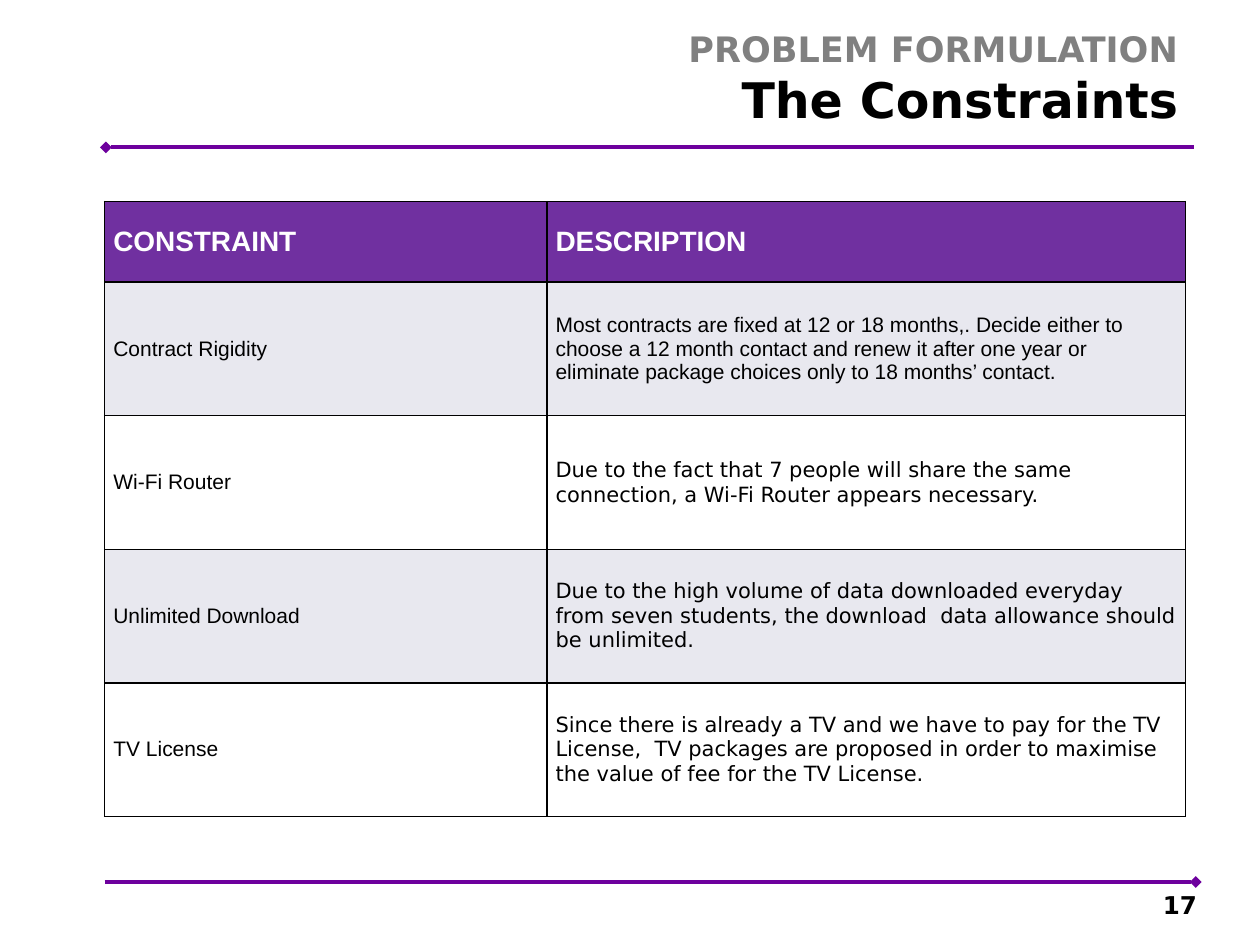
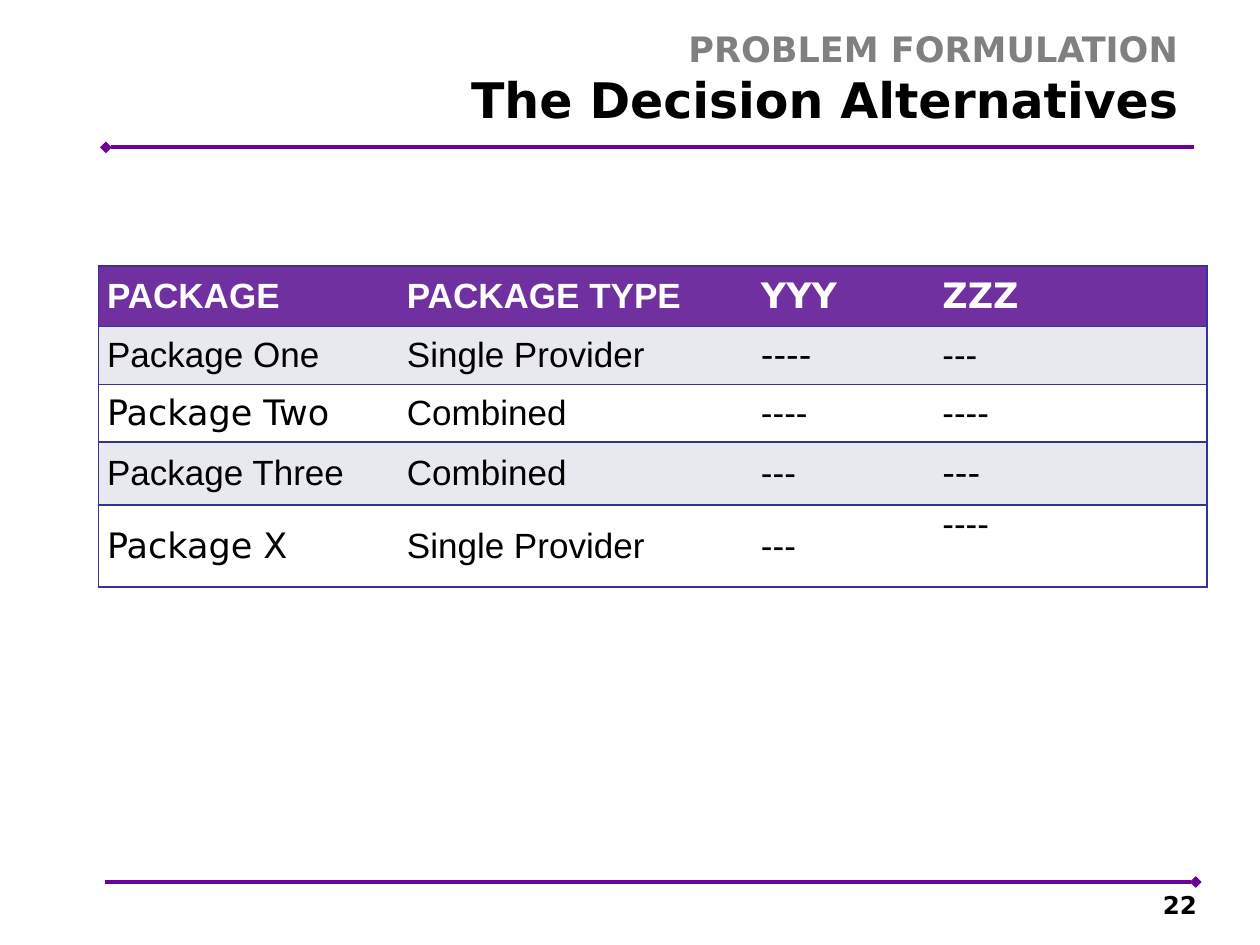
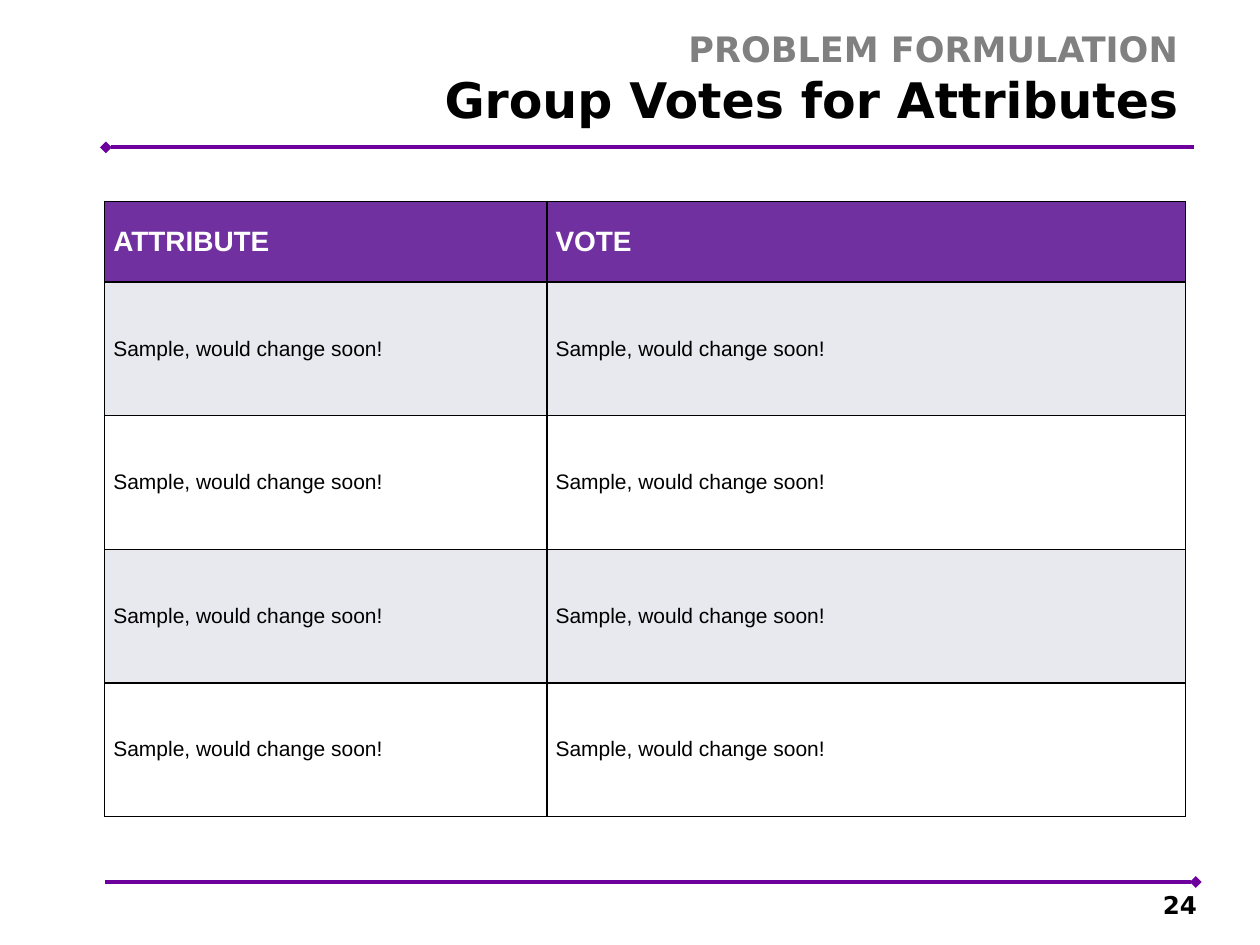
from dataclasses import dataclass
from lxml.etree import SubElement
from pptx import Presentation
from pptx.dml.color import RGBColor
from pptx.enum.shapes import MSO_CONNECTOR
from pptx.enum.text import MSO_ANCHOR, MSO_AUTO_SIZE, PP_ALIGN
from pptx.oxml.ns import qn
from pptx.util import Inches, Pt


@dataclass(frozen=True)
class Theme:
    """Colours, fonts and type sizes of the deck."""
    rule: str = "6D009D"
    head: str = "7030A0"
    band: str = "E8E8EF"
    paper: str = "FFFFFF"
    ink: str = "000000"
    gray: str = "808080"
    navy: str = "333399"
    sans: str = "DejaVu Sans"
    plain: str = "Arial"
    topic: int = 20
    title: int = 28
    page: int = 14


THEME = Theme()
SAMPLE = "Sample, would change soon!"
WIDE = dict(box=(0.83, 1.6), cols=(3.51, 5.07), heights=(0.64,) + (1.06,) * 4,
            sizes=(16, 12), edge=THEME.ink)
LIMITS = [
    ("CONSTRAINT", "DESCRIPTION"),
    ("Contract Rigidity", "Most contracts are fixed at 12 or 18 months,. Decide either to "
     "choose a 12 month contact and renew it after one year or eliminate package choices "
     "only to 18 months’ contact."),
    ("Wi-Fi Router", "Due to the fact that 7 people will share the same connection, "
     "a Wi-Fi Router appears necessary."),
    ("Unlimited Download", "Due to the high volume of data downloaded everyday from seven "
     "students, the download  data allowance should be unlimited."),
    ("TV License", "Since there is already a TV and we have to pay for the TV License,  "
     "TV packages are proposed in order to maximise the value of fee for the TV License."),
]
OFFERS = [
    ("PACKAGE", "PACKAGE TYPE", "YYY", "ZZZ"),
    ("Package One", "Single Provider", "----", "---"),
    ("Package Two", "Combined", "----", "----"),
    ("Package Three", "Combined", "---", "---"),
    ("Package X", "Single Provider", "---", "----"),
]
VOTES = [("ATTRIBUTE", "VOTE")] + [(SAMPLE, SAMPLE)] * 4


def write(para, text, size, font=THEME.sans, color=THEME.ink, bold=False):
    """Add a formatted run to a paragraph."""
    run = para.add_run()
    run.text = text
    run.font.size = Pt(size)
    run.font.name = font
    run.font.bold = bold
    run.font.color.rgb = RGBColor.from_string(color)


def add_rule(slide, layout, left, right, top, end):
    """Draw a rule with one diamond end and move it to the layout."""
    rule = slide.shapes.add_connector(
        MSO_CONNECTOR.STRAIGHT, Inches(left), Inches(top), Inches(right), Inches(top))
    rule.line.color.rgb = RGBColor.from_string(THEME.rule)
    rule.line.width = Pt(2.25)
    props = rule.element.spPr
    SubElement(props.find(qn("a:ln")), qn(end), type="diamond")
    SubElement(props, qn("a:effectLst"))
    layout.shapes.element.append(rule.element)


def set_layout(slide, layout):
    """Place the shared title box and the two rules."""
    title = layout.placeholders[0]
    title.left, title.top = Inches(2.64), Inches(0.17)
    title.width, title.height = Inches(6.81), Inches(0.9)
    add_rule(slide, layout, 0.84, 9.48, 1.17, "a:headEnd")
    add_rule(slide, layout, 0.83, 9.49, 7, "a:tailEnd")


def add_title(slide, text):
    """Fill the title with the topic line and the slide's own line."""
    title = slide.shapes.title
    frame = title.text_frame
    frame.auto_size = MSO_AUTO_SIZE.NONE
    frame.vertical_anchor = MSO_ANCHOR.TOP
    para = frame.paragraphs[0]
    para.alignment = PP_ALIGN.RIGHT
    write(para, "PROBLEM FORMULATION", THEME.topic, color=THEME.gray, bold=True)
    para.add_line_break()
    for gap in title.element.iter(qn("a:br")):
        SubElement(gap, qn("a:rPr"), sz=str(THEME.topic * 100))
    write(para, text, THEME.title, bold=True)


def add_page(slide, number):
    """Put the page number below the lower rule."""
    box = slide.shapes.add_textbox(Inches(7.17), Inches(7.06), Inches(2.33), Inches(0.29))
    frame = box.text_frame
    frame.word_wrap = True
    frame.margin_right = 0
    frame.vertical_anchor = MSO_ANCHOR.BOTTOM
    para = frame.paragraphs[0]
    para.alignment = PP_ALIGN.RIGHT
    write(para, str(number), THEME.page, bold=True)


def set_edges(cell, color, sides):
    """Draw the given cell sides and clear the others."""
    props = cell._tc.get_or_add_tcPr()
    for side in "LRTB":
        line = SubElement(props, qn(f"a:ln{side}"), w=str(Pt(1)))
        if side in sides:
            SubElement(SubElement(line, qn("a:solidFill")), qn("a:srgbClr"), val=color)
        else:
            SubElement(line, qn("a:noFill"))


def add_grid(slide, rows, box, cols, heights, sizes, edge, inner=True, sans=()):
    """Build a banded table; sans lists the cells set in the title font."""
    left, top = box
    table = slide.shapes.add_table(
        len(rows), len(cols), Inches(left), Inches(top),
        Inches(sum(cols)), Inches(sum(heights))).table
    table.horz_banding = False
    for col, width in zip(table.columns, cols):
        col.width = Inches(width)
    for r, row in enumerate(rows):
        table.rows[r].height = Inches(heights[r])
        head = r == 0
        fill = THEME.head if head else THEME.band if r % 2 else THEME.paper
        for c, text in enumerate(row):
            cell = table.cell(r, c)
            sides = "TB" + "L" * (inner or c == 0) + "R" * (inner or c == len(row) - 1)
            set_edges(cell, edge, sides)
            cell.fill.solid()
            cell.fill.fore_color.rgb = RGBColor.from_string(fill)
            cell.margin_left = cell.margin_right = Inches(0.07)
            cell.margin_top = cell.margin_bottom = 0
            cell.vertical_anchor = MSO_ANCHOR.MIDDLE
            write(cell.text_frame.paragraphs[0], text, sizes[0] if head else sizes[1],
                  font=THEME.sans if (r, c) in sans else THEME.plain,
                  color=THEME.paper if head else THEME.ink, bold=head)
    return table


def add_slide(deck, layout, title, number):
    """Start a slide with its title and page number."""
    slide = deck.slides.add_slide(layout)
    add_title(slide, title)
    add_page(slide, number)
    return slide


def main():
    """Build the three table slides."""
    deck = Presentation()
    deck.slide_width, deck.slide_height = Inches(10), Inches(7.5)
    layout = deck.slide_layouts[5]

    slide = add_slide(deck, layout, "The Constraints", 17)
    set_layout(slide, layout)
    add_grid(slide, LIMITS, sans={(2, 1), (3, 1), (4, 1)}, **WIDE)

    slide = add_slide(deck, layout, "The Decision Alternatives", 22)
    table = add_grid(
        slide, OFFERS, box=(0.78, 2.11), cols=(2.38, 2.81, 1.44, 2.17),
        heights=(0.48, 0.46, 0.46, 0.5, 0.65), sizes=(20, 20), edge=THEME.navy,
        inner=False, sans={(0, 2), (0, 3), (1, 2), (2, 0), (3, 3), (4, 0)})
    table.cell(4, 3).vertical_anchor = MSO_ANCHOR.TOP

    slide = add_slide(deck, layout, "Group Votes for Attributes", 24)
    add_grid(slide, VOTES, **WIDE)
    deck.save("out.pptx")


if __name__ == "__main__":
    main()
